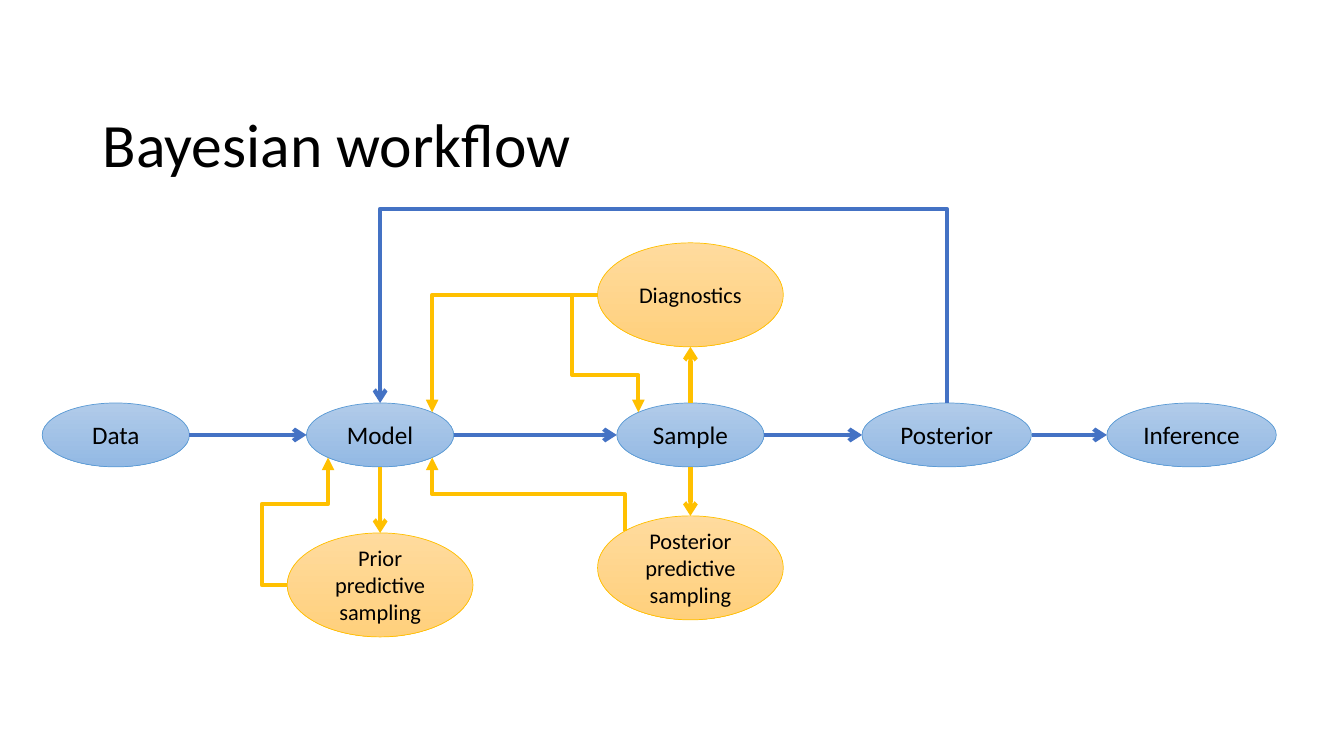
from dataclasses import dataclass
from itertools import pairwise
from math import sqrt

from lxml.etree import SubElement
from pptx import Presentation
from pptx.dml.color import RGBColor
from pptx.dml.line import LineFormat
from pptx.enum.shapes import MSO_CONNECTOR, MSO_SHAPE
from pptx.enum.text import MSO_ANCHOR, PP_ALIGN
from pptx.oxml.ns import qn
from pptx.shapes.autoshape import Shape
from pptx.slide import Slide
from pptx.text.text import TextFrame
from pptx.util import Cm, Pt

COLORS = {
    "text": "000000",
    "step_top": "B1CBE9",
    "step_bottom": "93B9E4",
    "step_border": "5B9BD5",
    "step_arrow": "4472C4",
    "check_top": "FFDB9E",
    "check_bottom": "FFD07C",
    "check_border": "FFC000",
    "check_arrow": "FFC000",
}
FONT = "Calibri"
AXIS = 10.96  # height of the main row of steps, in cm
STUB = 0.64  # how far a feedback route leaves a check sideways, in cm

# Connection sites of an ellipse
TOP, LEFT, BOTTOM, RIGHT = 0, 2, 4, 6
SITE_DIRECTIONS = {TOP: (0, -1), LEFT: (-1, 0), BOTTOM: (0, 1), RIGHT: (1, 0)}

Point = tuple[float, float]


@dataclass(frozen=True)
class Node:
    """An ellipse placed by its centre, in cm."""

    label: str
    x: float
    y: float
    width: float
    height: float
    style: str
    size: int

    def edge(self, across: int, down: int) -> Point:
        """Point on the outline, in one of eight directions."""
        reach = 0.5 / sqrt(across**2 + down**2)
        return self.x + across * reach * self.width, self.y + down * reach * self.height


@dataclass(frozen=True)
class Arrow:
    start: Node
    start_site: int
    end: Node
    end_site: int
    style: str


@dataclass(frozen=True)
class Route:
    points: list[Point]
    style: str
    head: str


def step(label: str, x: float, width: float) -> Node:
    return Node(label, x, AXIS, width, 1.61, "step", 18)


def check(label: str, x: float, y: float) -> Node:
    return Node(label, x, y, 4.68, 2.62, "check", 16)


DATA = step("Data", 2.92, 3.71)
MODEL = step("Model", 9.58, 3.71)
SAMPLE = step("Sample", 17.4, 3.71)
POSTERIOR = step("Posterior", 23.86, 4.27)
INFERENCE = step("Inference", 30.03, 4.27)
STEPS = [DATA, MODEL, SAMPLE, POSTERIOR, INFERENCE]

PRIOR_CHECK = check("Prior predictive sampling", MODEL.x, 14.74)
DIAGNOSTICS = check("Diagnostics", SAMPLE.x, 7.43)
POSTERIOR_CHECK = check("Posterior predictive sampling", SAMPLE.x, 14.31)
CHECKS = [PRIOR_CHECK, DIAGNOSTICS, POSTERIOR_CHECK]

ARROWS = [Arrow(start, RIGHT, end, LEFT, "step") for start, end in pairwise(STEPS)] + [
    Arrow(MODEL, BOTTOM, PRIOR_CHECK, TOP, "check"),
    Arrow(SAMPLE, TOP, DIAGNOSTICS, BOTTOM, "check"),
    Arrow(SAMPLE, BOTTOM, POSTERIOR_CHECK, TOP, "check"),
]


def side_route(start: Node, end: Point, level: float) -> Route:
    """Leave a check to the left, turn at a level and reach the end vertically."""
    x, y = start.edge(-1, 0)
    points = [(x, y), (x - STUB, y), (x - STUB, level), (end[0], level), end]
    return Route(points, "check", "triangle")


def level_route(start: Point, end: Point, level: float, style: str, head: str) -> Route:
    """Go vertically to a level, across it, and vertically to the end."""
    return Route([start, (start[0], level), (end[0], level), end], style, head)


def feedback_routes() -> list[Route]:
    diagnostics_left = DIAGNOSTICS.edge(-1, 0)
    model_upper_right = MODEL.edge(1, -1)
    corner = (model_upper_right[0], diagnostics_left[1])
    check_start, model_lower_right = POSTERIOR_CHECK.edge(-1, -1), MODEL.edge(1, 1)
    halfway = (check_start[1] + model_lower_right[1]) / 2
    return [
        side_route(PRIOR_CHECK, MODEL.edge(-1, 1), 12.7),
        side_route(DIAGNOSTICS, SAMPLE.edge(-1, -1), 9.45),
        Route([diagnostics_left, corner, model_upper_right], "check", "triangle"),
        level_route(check_start, model_lower_right, halfway, "check", "triangle"),
        level_route(POSTERIOR.edge(0, -1), MODEL.edge(0, -1), 5.26, "step", "arrow"),
    ]


def color(name: str) -> RGBColor:
    return RGBColor.from_string(COLORS[name])


def write(frame: TextFrame, text: str, size: int, alignment: PP_ALIGN) -> None:
    frame.text = text
    frame.word_wrap = True
    frame.vertical_anchor = MSO_ANCHOR.MIDDLE
    paragraph = frame.paragraphs[0]
    paragraph.alignment = alignment
    font = paragraph.runs[0].font
    font.name, font.size = FONT, Pt(size)
    font.color.rgb = color("text")


def add_title(slide: Slide) -> None:
    box = slide.shapes.add_textbox(Cm(2.34), Cm(2.82), Cm(29.2), Cm(1.78))
    write(box.text_frame, "Bayesian workflow", 44, PP_ALIGN.LEFT)
    box.text_frame.paragraphs[0].line_spacing = 0.9


def add_node(slide: Slide, node: Node) -> Shape:
    shape = slide.shapes.add_shape(
        MSO_SHAPE.OVAL,
        Cm(node.x - node.width / 2),
        Cm(node.y - node.height / 2),
        Cm(node.width),
        Cm(node.height),
    )
    shape.shadow.inherit = False
    shape.fill.gradient()
    shape.fill.gradient_angle = 270
    for stop, place in zip(shape.fill.gradient_stops, ("top", "bottom")):
        stop.color.rgb = color(f"{node.style}_{place}")
    shape.line.color.rgb = color(f"{node.style}_border")
    shape.line.width = Pt(0.5)
    write(shape.text_frame, node.label, node.size, PP_ALIGN.CENTER)
    return shape


def format_arrow(line: LineFormat, style: str, head: str) -> None:
    line.color.rgb = color(f"{style}_arrow")
    line.width = Pt(3)
    SubElement(line._get_or_add_ln(), qn("a:tailEnd"), type=head)


def add_arrow(slide: Slide, arrow: Arrow, shapes: dict[Node, Shape]) -> None:
    """Draw a straight connector joined to the ellipse sites at both ends."""
    start = arrow.start.edge(*SITE_DIRECTIONS[arrow.start_site])
    end = arrow.end.edge(*SITE_DIRECTIONS[arrow.end_site])
    connector = slide.shapes.add_connector(
        MSO_CONNECTOR.STRAIGHT, *(Cm(length) for length in start + end)
    )
    format_arrow(connector.line, arrow.style, "arrow")
    SubElement(connector._element.spPr, qn("a:effectLst"))
    joints = connector._element.find(".//" + qn("p:cNvCxnSpPr"))
    for tag, node, site in (
        ("a:stCxn", arrow.start, arrow.start_site),
        ("a:endCxn", arrow.end, arrow.end_site),
    ):
        SubElement(joints, qn(tag), id=str(shapes[node].shape_id), idx=str(site))


def add_route(slide: Slide, route: Route) -> None:
    start, *turns = [(Cm(x), Cm(y)) for x, y in route.points]
    builder = slide.shapes.build_freeform(*start)
    builder.add_line_segments(turns, close=False)
    shape = builder.convert_to_shape()
    shape.shadow.inherit = False
    shape.fill.background()
    format_arrow(shape.line, route.style, route.head)


def main() -> None:
    presentation = Presentation()
    presentation.slide_width, presentation.slide_height = Cm(33.87), Cm(19.05)
    slide = presentation.slides.add_slide(presentation.slide_layouts[6])
    add_title(slide)
    shapes = {node: add_node(slide, node) for node in STEPS + CHECKS}
    for arrow in ARROWS:
        add_arrow(slide, arrow, shapes)
    for route in feedback_routes():
        add_route(slide, route)
    presentation.save("out.pptx")


if __name__ == "__main__":
    main()
